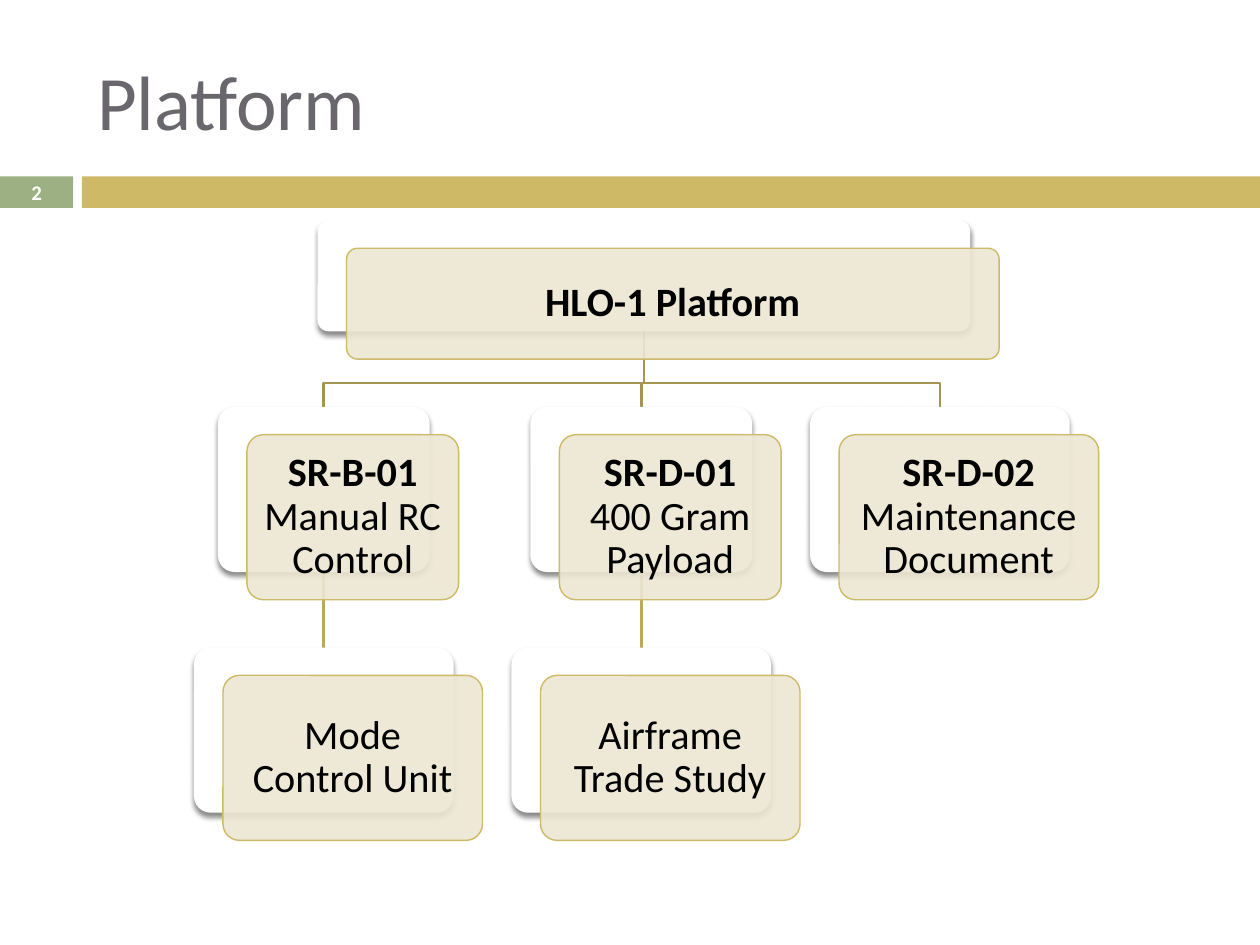
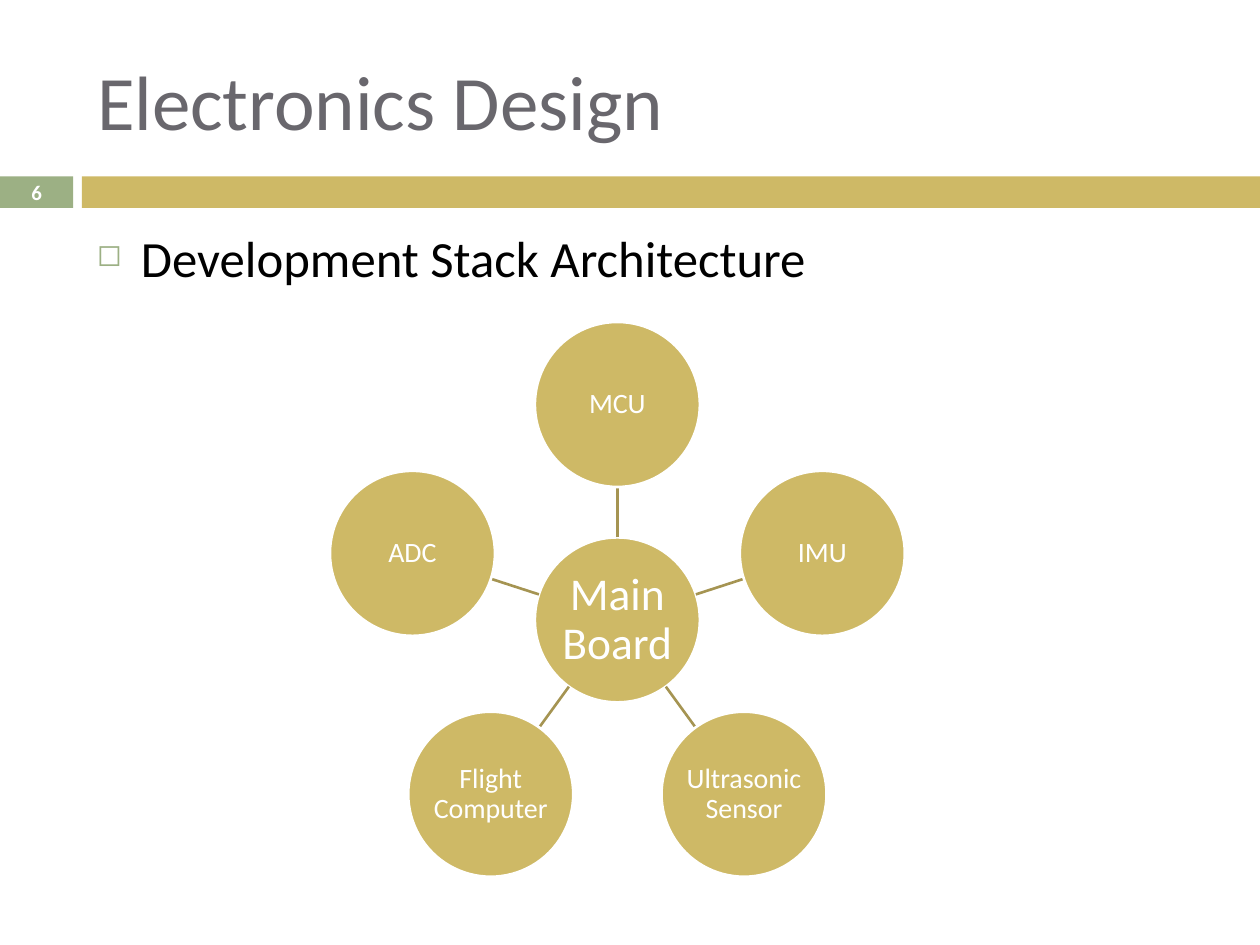
from math import cos, radians, sin

from lxml.etree import SubElement
from pptx import Presentation
from pptx.dml.color import RGBColor
from pptx.enum.shapes import MSO_CONNECTOR, MSO_SHAPE as SHAPE
from pptx.enum.text import MSO_ANCHOR as ANCHOR, MSO_AUTO_SIZE, PP_ALIGN as ALIGN
from pptx.oxml.ns import qn
from pptx.util import Inches, Pt

COLORS = {
    "white": "FFFFFF", "black": "000000", "title": "69676D",
    "gold": "CEB966", "sage": "9CB084", "cream": "EDE6D3",
    "branch": "A59452", "twig": "BBA85D",
}
FONT = "Calibri"


def rgb(name):
    return RGBColor.from_string(COLORS[name])


def style_font(paragraph, size, color, bold=None):
    font = paragraph.font
    font.name, font.size, font.bold = FONT, Pt(size), bold
    font.color.rgb = rgb(color)


def style_line(line, color, width):
    line.color.rgb = rgb(color)
    line.width = Pt(width)


def add_block(slide, kind, box, fill, outline=None, width=1.5):
    block = slide.shapes.add_shape(kind, *map(Inches, box))
    block.shadow.inherit = False
    block.fill.solid()
    block.fill.fore_color.rgb = rgb(fill)
    if outline:
        style_line(block.line, outline, width)
    else:
        block.line.fill.background()
    return block


def write_centred(block, text, size, color, inset=0, spacing=0.9, bold=None):
    frame = block.text_frame
    frame.word_wrap = True
    frame.vertical_anchor = ANCHOR.MIDDLE
    frame.margin_left = frame.margin_right = Inches(inset)
    frame.margin_top = frame.margin_bottom = Inches(inset)
    paragraph = frame.paragraphs[0]
    paragraph.alignment, paragraph.line_spacing = ALIGN.CENTER, spacing
    style_font(paragraph, size, color, bold)
    paragraph.add_run().text = text
    return paragraph


# Shared frame: title, band and slide number
def add_framed_slide(deck, title, number):
    slide = deck.slides.add_slide(deck.slide_layouts[5])
    heading = slide.shapes.title
    heading.left, heading.top = Inches(0.67), Inches(0.25)
    heading.width, heading.height = Inches(8.92), Inches(1.08)
    frame = heading.text_frame
    frame.text = title
    frame.vertical_anchor = ANCHOR.MIDDLE
    frame.auto_size = MSO_AUTO_SIZE.NONE
    frame.paragraphs[0].alignment = ALIGN.LEFT
    style_font(frame.paragraphs[0], 44, "title")

    add_block(slide, SHAPE.RECTANGLE, (0.65, 1.4, 9.35, 0.25), "gold")
    number_tab = add_block(slide, SHAPE.RECTANGLE, (0, 1.4, 0.58, 0.25), "sage")
    write_centred(number_tab, number, 11.9, "white", spacing=1, bold=True)
    return slide


# Organisation chart
def add_branch(slide, points, color):
    start, *rest = [(Inches(x), Inches(y)) for x, y in points]
    builder = slide.shapes.build_freeform(*start)
    builder.add_line_segments(rest, close=False)
    branch = builder.convert_to_shape()
    branch.shadow.inherit = False
    branch.fill.background()
    style_line(branch.line, color, 1.5)


def add_card(slide, box, code, label):
    left, top, width, height = box
    back = add_block(slide, SHAPE.ROUNDED_RECTANGLE, box, "white")
    effects = back.fill._xPr.find(qn("a:effectLst"))
    shadow = SubElement(effects, qn("a:outerShdw"), blurRad=str(Pt(3)),
                        dist=str(Pt(2.4)), dir="5400000", rotWithShape="0")
    shade = SubElement(shadow, qn("a:srgbClr"), val=COLORS["black"])
    SubElement(shade, qn("a:alpha"), val="45000")

    front = add_block(slide, SHAPE.ROUNDED_RECTANGLE,
                      (left + 0.23, top + 0.22, width, height), "cream", "gold", 0.79)
    tint = front.fill._xPr.find(qn("a:solidFill"))[0]
    SubElement(tint, qn("a:alpha"), val="90000")
    back.adjustments[0] = front.adjustments[0] = 0.1

    paragraph = write_centred(front, code or label, 23, "black", inset=0.1)
    if code:
        paragraph.runs[0].font.bold = True
    if code and label:
        paragraph.add_line_break()
        paragraph.add_run().text = label


def add_org_chart(slide, left, top):
    levels = [(top, 0.88), (top + 1.48, 1.31), (top + 3.39, 1.31)]
    root = (0, 3.57, 5.18, "HLO-1 Platform", "")
    # level, centre, width, code, label, and the parent's centre
    children = [
        (1, 1.03, 1.68, "SR-B-01", "Manual RC Control", 3.57),
        (2, 1.03, 2.06, "", "Mode Control Unit", 1.03),
        (1, 3.55, 1.76, "SR-D-01", "400 Gram Payload", 3.57),
        (2, 3.55, 2.06, "", "Airframe Trade Study", 3.55),
        (1, 5.92, 2.06, "SR-D-02", "Maintenance Document", 3.57),
    ]
    for level, centre, *_, parent in children:
        above, height = levels[level - 1]
        end = levels[level][0]
        x, parent_x = left + centre, left + parent
        if x == parent_x:
            add_line(slide, (x, above + height), (x, end), "twig")
        else:
            bend = end - 0.19
            add_branch(slide, [(parent_x, above + height), (parent_x, bend),
                               (x, bend), (x, end)], "branch")
    for level, centre, width, code, label in [root] + [child[:5] for child in children]:
        card_top, height = levels[level]
        add_card(slide, (left + centre - width / 2, card_top, width, height), code, label)


def add_line(slide, start, end, color):
    line = slide.shapes.add_connector(MSO_CONNECTOR.STRAIGHT, *map(Inches, start + end))
    style_line(line.line, color, 1.5)
    SubElement(line._element.spPr, qn("a:effectLst"))


# Bulleted statement
def add_bullet(slide, box, text):
    frame = slide.shapes.add_textbox(*map(Inches, box)).text_frame
    frame.word_wrap = True
    paragraph = frame.paragraphs[0]
    paragraph.text = text
    paragraph.space_before = Pt(7)
    style_font(paragraph, 29, "black")
    props = paragraph._p.get_or_add_pPr()
    props.set("marL", str(Inches(0.35)))
    props.set("indent", str(Inches(-0.35)))
    bullet_color = SubElement(props, qn("a:buClr"))
    SubElement(bullet_color, qn("a:srgbClr"), val=COLORS["sage"])
    SubElement(props, qn("a:buSzPct"), val="60000")
    SubElement(props, qn("a:buChar"), char="◻")
    # The default run properties follow the bullet in the schema
    props.append(props.find(qn("a:defRPr")))


# Hub with modules evenly spaced around it
def add_hub(slide, centre_x, centre_y, hub, modules):
    diameter, reach = 1.31, 1.71

    def point(angle, distance):
        return (centre_x + distance * sin(radians(angle)),
                centre_y - distance * cos(radians(angle)))

    def add_disc(centre, label, size):
        x, y = centre
        disc = add_block(slide, SHAPE.OVAL,
                         (x - diameter / 2, y - diameter / 2, diameter, diameter),
                         "gold", "white")
        write_centred(disc, label, size, "white")

    add_disc((centre_x, centre_y), hub, 26)
    for index, module in enumerate(modules):
        angle = index * 360 / len(modules)
        add_line(slide, point(angle, diameter / 2),
                 point(angle, reach - diameter / 2), "branch")
        add_disc(point(angle, reach), module, 16)


def main():
    deck = Presentation()
    deck.slide_width, deck.slide_height = Inches(10), Inches(7.5)

    platform = add_framed_slide(deck, "Platform", "2")
    add_org_chart(platform, 1.54, 1.75)

    electronics = add_framed_slide(deck, "Electronics Design", "6")
    add_bullet(electronics, (0.67, 1.75, 8.92, 0.7), "Development Stack Architecture")
    add_hub(electronics, 4.9, 4.92, "Main Board",
            ["MCU", "IMU", "Ultrasonic Sensor", "Flight Computer", "ADC"])

    deck.save("out.pptx")


if __name__ == "__main__":
    main()
